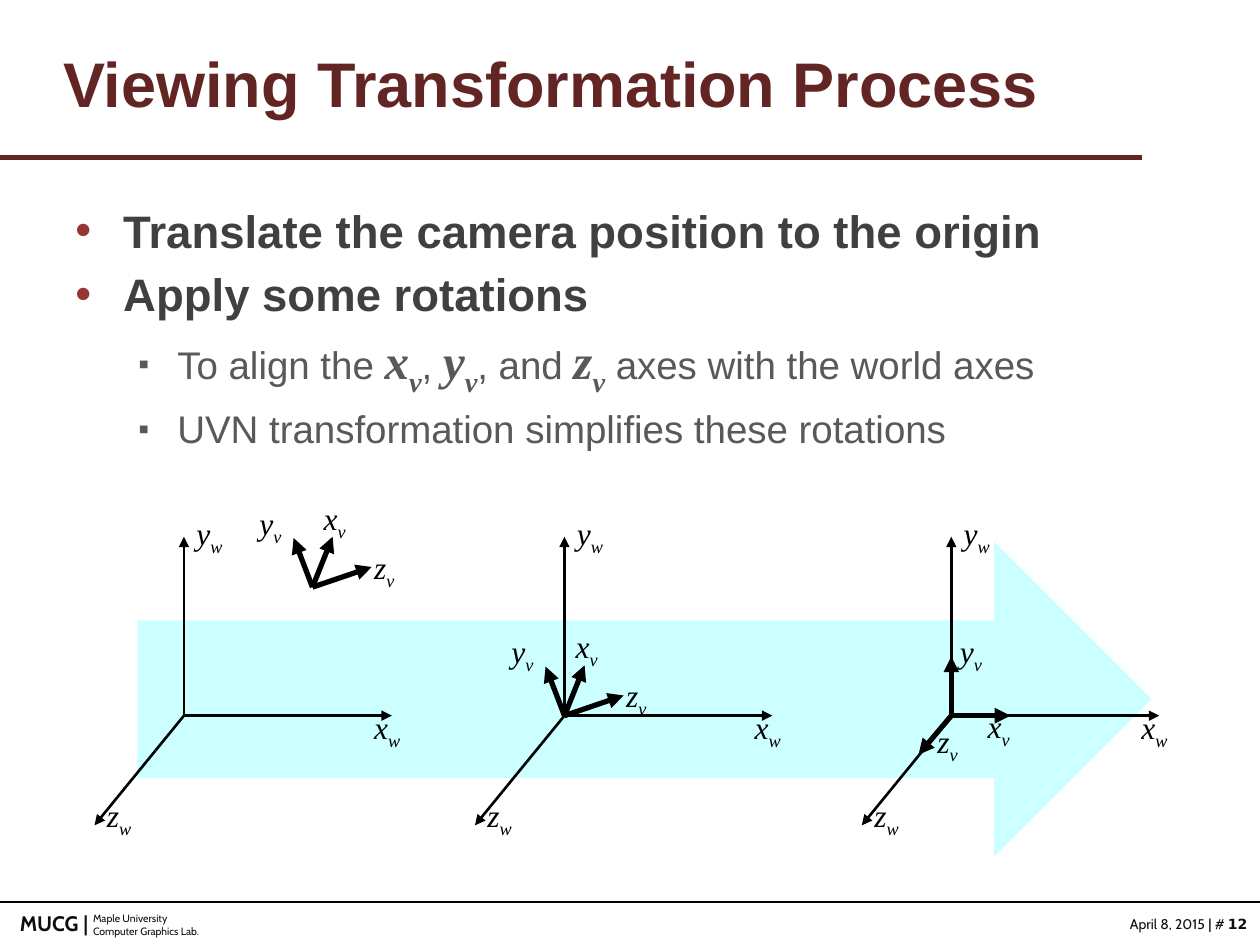
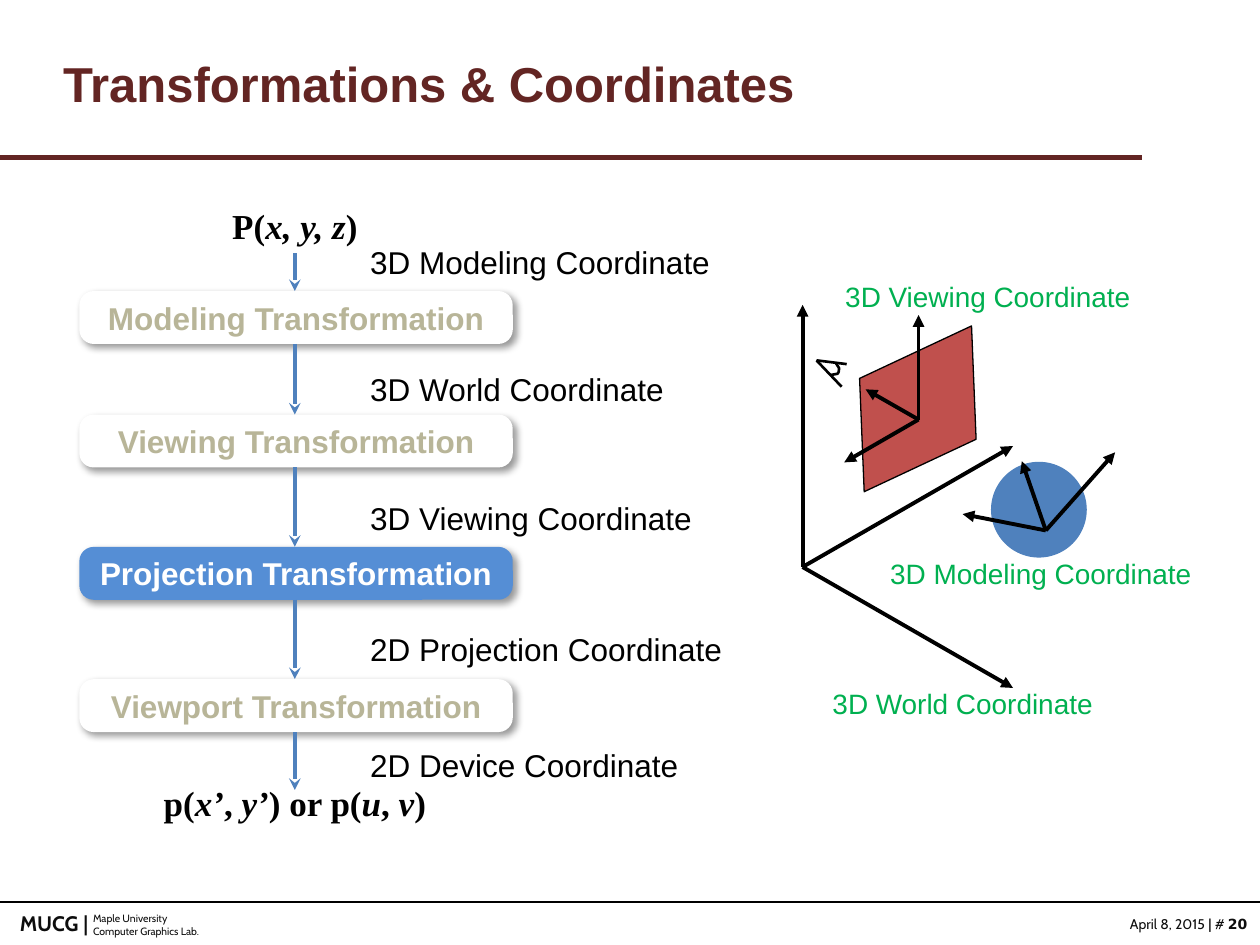
from lxml import etree
from pptx import Presentation
from pptx import util as u
from pptx.dml.color import RGBColor
from pptx.enum import shapes, text
from pptx.oxml import ns

Inches, Pt = u.Inches, u.Pt

MAROON = RGBColor(0x63, 0x25, 0x23)
BULLET_RED = RGBColor(0x95, 0x37, 0x35)
CHARCOAL = RGBColor(0x40, 0x40, 0x40)
GRAY = RGBColor(0x59, 0x59, 0x59)
INK = RGBColor(0x0D, 0x0D, 0x0D)
BLACK = RGBColor(0, 0, 0)
WHITE = RGBColor(0xFF, 0xFF, 0xFF)
CYAN = RGBColor(0, 0xFF, 0xFF)
FADED = RGBColor(0xB8, 0xB5, 0x98)
HIGHLIGHT = RGBColor(0x55, 0x8E, 0xD5)
BLUE = RGBColor(0x4F, 0x81, 0xBD)
RED = RGBColor(0xC0, 0x50, 0x4D)
GREEN = RGBColor(0, 0xB0, 0x50)

SANS, SERIF, FOOTER_FONT, NUMBER_FONT = "Arial", "Times New Roman", "Cabin", "DejaVu Sans"
LEFT, CENTER, RIGHT = text.PP_ALIGN.LEFT, text.PP_ALIGN.CENTER, text.PP_ALIGN.RIGHT


def add_xml(parent, tag, **attributes):
    element = etree.SubElement(parent, ns.qn(tag))
    for name, value in attributes.items():
        element.set(name, str(value))
    return element


def style_run(run, size, color, font=SANS, bold=False, italic=False, subscript=False):
    run.font.size = Pt(size)
    run.font.color.rgb = color
    run.font.name = font
    run.font.bold = bold
    run.font.italic = italic
    if subscript:
        run.font._element.set("baseline", "-25000")


def fill_paragraph(paragraph, pieces, **base):
    for wording, changes in pieces:
        run = paragraph.add_run()
        run.text = wording
        style_run(run, **{**base, **changes})


def add_text(slide, box, paragraphs, align=LEFT, wrap=False, line_spacing=None, **base):
    shape = slide.shapes.add_textbox(*map(Inches, box))
    frame = shape.text_frame
    frame.word_wrap = wrap
    for index, pieces in enumerate(paragraphs):
        paragraph = frame.add_paragraph() if index else frame.paragraphs[0]
        paragraph.alignment = align
        paragraph.line_spacing = line_spacing
        if isinstance(pieces, str):
            pieces = [(pieces, {})]
        fill_paragraph(paragraph, pieces, **base)
    return shape


def add_line(slide, start, end, color=BLACK, width=1.5, head=None):
    line = slide.shapes.add_connector(
        shapes.MSO_CONNECTOR.STRAIGHT, *map(Inches, (*start, *end)))
    line.line.color.rgb = color
    line.line.width = Pt(width)
    if head:
        add_xml(line.line._get_or_add_ln(), "a:tailEnd", type=head)
    add_xml(line._element.spPr, "a:effectLst")


def add_shape(slide, kind, box, fill, line=None, adjustment=None):
    shape = slide.shapes.add_shape(kind, *map(Inches, box))
    shape.shadow.inherit = False
    shape.fill.solid()
    shape.fill.fore_color.rgb = fill
    if line is None:
        shape.line.fill.background()
    else:
        shape.line.color.rgb = line
        shape.line.width = Pt(0.75)
    if adjustment is not None:
        shape.adjustments[0] = adjustment
    return shape


def add_arrows(slide, origin, tips, width):
    for tip in tips:
        add_line(slide, origin, tip, width=width, head="triangle")


def shift(origin, offset):
    return origin[0] + offset[0], origin[1] + offset[1]


def add_axes(slide, origin, subscript, tips, labels, width):
    add_arrows(slide, origin, [shift(origin, tip) for tip in tips], width)
    for axis, offset in zip("xyz", labels):
        pieces = [(axis, {}), (subscript, {"subscript": True})]
        add_text(slide, (*shift(origin, offset), 0.42, 0.43), [pieces],
                 size=18, color=BLACK, font=SERIF, italic=True)


def add_base_slide(presentation, title_text, title_size, number):
    slide = presentation.slides.add_slide(presentation.slide_layouts[5])
    title = slide.shapes.title
    title.left, title.top, title.width, title.height = map(Inches, (0.3, 0.22, 9, 0.87))
    frame = title.text_frame
    frame.text = title_text
    frame.auto_size = text.MSO_AUTO_SIZE.NONE
    frame.vertical_anchor = text.MSO_ANCHOR.MIDDLE
    frame.margin_left = Inches(0.2)
    frame.paragraphs[0].alignment = LEFT
    style_run(frame.paragraphs[0].runs[0], title_size, MAROON, bold=True)

    add_line(slide, (0, 1.25), (9.06, 1.25), MAROON, 3)
    add_line(slide, (0, 7.16), (10, 7.16), BLACK, 1)
    add_text(slide, (0.64, 7.19, 1.4, 0.3), ["Maple University", "Computer Graphics Lab."],
             wrap=True, size=6, color=INK, font=FOOTER_FONT)
    add_text(slide, (-0.04, 7.18, 0.84, 0.3), ["MUCG |"], align=RIGHT,
             size=12, color=INK, font=FOOTER_FONT, bold=True)
    date = [("April 8, 2015 ", {}), ("|", {"bold": True}), (" # ", {}),
            (str(number), {"font": NUMBER_FONT, "bold": True})]
    add_text(slide, (8.5, 7.22, 1.5, 0.24), [date], align=RIGHT,
             size=8, color=INK, font=FOOTER_FONT)
    return slide


def add_bullet(paragraph, level, symbol, color, size_percent, margin, hanging):
    paragraph.level = level
    properties = paragraph._p.get_or_add_pPr()
    properties.set("marL", str(Inches(margin)))
    properties.set("indent", str(-Inches(hanging)))
    add_xml(add_xml(properties, "a:spcBef"), "a:spcPct", val=20000)
    add_xml(add_xml(properties, "a:buClr"), "a:srgbClr", val=color)
    add_xml(properties, "a:buSzPct", val=size_percent * 1000)
    add_xml(properties, "a:buFont", typeface=SANS)
    add_xml(properties, "a:buChar", char=symbol)


def add_bullets(slide):
    symbol = {"size": 28, "font": SERIF, "bold": True, "italic": True}
    align_axes = [("To align the ", {})]
    for axis, following in (("x", ", "), ("y", ", and "), ("z", " axes with the world axes")):
        align_axes += [(axis, symbol), ("v", {**symbol, "subscript": True}), (following, {})]
    points = [
        (0, [("Translate the camera position to the origin", {})]),
        (0, [("Apply some rotations", {})]),
        (1, align_axes),
        (1, [("UVN transformation simplifies these rotations", {})]),
    ]
    shape = add_text(slide, (0.5, 1.56, 9, 5.31), [[] for point in points],
                     wrap=True, size=26, color=CHARCOAL)
    for paragraph, (level, pieces) in zip(shape.text_frame.paragraphs, points):
        if level:
            add_bullet(paragraph, 1, "▪", GRAY, 80, 0.81, 0.31)
            fill_paragraph(paragraph, pieces, size=22, color=GRAY)
        else:
            add_bullet(paragraph, 0, "•", BULLET_RED, 100, 0.38, 0.38)
            fill_paragraph(paragraph, pieces, size=26, color=CHARCOAL, bold=True)


def build_viewing_process(presentation):
    slide = add_base_slide(presentation, "Viewing Transformation Process", 36, 12)
    add_bullets(slide)
    arrow = add_shape(slide, shapes.MSO_SHAPE.RIGHT_ARROW, (1.09, 4.3, 8.05, 2.5), CYAN)
    add_xml(arrow._element.spPr.find(".//" + ns.qn("a:srgbClr")), "a:alpha", val=20000)

    world_tips = [(1.65, 0), (0, -1.42), (-0.71, 0.87)]
    world_labels = [(1.41, -0.11), (0, -1.65), (-0.71, 0.59)]
    camera_tips = [(0.16, -0.4), (-0.15, -0.39), (0.47, -0.16)]
    camera_labels = [(-0.01, -0.75), (-0.52, -0.71), (0.39, -0.36)]
    aligned_tips = [(0.47, 0), (0, -0.47), (-0.26, 0.31)]
    aligned_labels = [(0.19, -0.12), (-0.03, -0.71), (-0.21, 0)]
    stages = [
        ((1.46, 5.68), (2.48, 4.66), camera_tips, camera_labels),
        ((4.48, 5.68), (4.48, 5.68), camera_tips, camera_labels),
        ((7.55, 5.68), (7.55, 5.68), aligned_tips, aligned_labels),
    ]
    for world, camera, tips, labels in stages:
        add_axes(slide, world, "w", world_tips, world_labels, 1.5)
        add_axes(slide, camera, "v", tips, labels, 3)


def add_step(slide, top, label, active):
    shape = add_shape(slide, shapes.MSO_SHAPE.ROUNDED_RECTANGLE, (0.63, top, 3.44, 0.42),
                      HIGHLIGHT if active else WHITE, adjustment=0.27)
    effects = shape._element.spPr.find(ns.qn("a:effectLst"))
    shadow = add_xml(effects, "a:outerShdw", blurRad=Pt(4), dist=Pt(3),
                     dir=45 * 60000, algn="tl", rotWithShape=0)
    add_xml(add_xml(shadow, "a:srgbClr", val=BLACK), "a:alpha", val=40000)
    frame = shape.text_frame
    frame.text = label
    frame.word_wrap = False
    frame.vertical_anchor = text.MSO_ANCHOR.MIDDLE
    frame.paragraphs[0].alignment = CENTER
    style_run(frame.paragraphs[0].runs[0], 18, WHITE if active else FADED, bold=True)


def add_pipeline(slide):
    steps = [(2.31, "Modeling"), (3.29, "Viewing"), (4.34, "Projection"), (5.39, "Viewport")]
    for top, name in steps:
        add_step(slide, top, f"{name} Transformation", name == "Projection")
    tops = [top for top, name in steps]
    for start, end in zip([2.01] + [top + 0.42 for top in tops], tops + [6.27]):
        add_line(slide, (2.34, start), (2.34, end), BLUE, 2.25, "stealth")
    for top, name in ((1.88, "3D Modeling"), (2.89, "3D World"), (3.91, "3D Viewing"),
                      (4.95, "2D Projection"), (5.87, "2D Device")):
        add_text(slide, (2.84, top, 3.34, 0.42), [f"{name} Coordinate"], wrap=True,
                 size=18, color=BLACK)

    italic = {"italic": True}
    formula = {"align": CENTER, "size": 20, "color": BLACK, "font": SERIF, "bold": True}
    source = [("P(", {}), ("x, y, z", italic), (")", {})]
    result = [("p(", {}), ("x’", italic), (", ", {}), ("y’", italic), (") or p(", {}),
              ("u", italic), (", ", {}), ("v", italic), (")", {})]
    add_text(slide, (1.74, 1.64, 1.2, 0.37), [source], line_spacing=0.8, **formula)
    add_text(slide, (1.19, 6.27, 2.3, 0.3), [result], line_spacing=0.6, **formula)


def add_eye(slide):
    for end in ((6.72, 2.89), (6.68, 3.07)):
        add_line(slide, (6.48, 2.86), end)
    curve = [(6.58, 2.97), (6.61, 2.97), (6.64, 2.97), (6.65, 2.96), (6.66, 2.93), (6.64, 2.88)]
    points = [(Inches(x), Inches(y)) for x, y in curve]
    builder = slide.shapes.build_freeform(*points[0])
    builder.add_line_segments(points[1:], close=False)
    pupil = builder.convert_to_shape()
    pupil.shadow.inherit = False
    pupil.fill.background()
    pupil.line.color.rgb = BLACK
    pupil.line.width = Pt(1.5)
    pupil.rotation = 350


def add_scene(slide):
    add_arrows(slide, (6.37, 4.5), [(6.37, 2.42), (8.04, 5.46), (8.04, 3.54)], 2.25)
    add_shape(slide, shapes.MSO_SHAPE.OVAL, (7.87, 3.67, 0.75, 0.75), BLUE, BLUE)
    add_arrows(slide, (8.3, 4.21), [(8.85, 3.59), (7.64, 4.08), (8.11, 3.66)], 2.25)
    view_plane = add_shape(slide, shapes.MSO_SHAPE.PARALLELOGRAM, (6.62, 2.83, 1.33, 0.83),
                           RED, BLACK, 0.42)
    view_plane.rotation = 334.9
    add_arrows(slide, (7.29, 3.33), [(7.29, 2.5), (6.7, 3.67), (6.87, 3.09)], 2.25)
    add_eye(slide)
    for left, top, name in ((6.53, 2.17, "Viewing"), (6.33, 5.4, "World"), (6.95, 4.37, "Modeling")):
        add_text(slide, (left, top, 2.62, 0.37), [f"3D {name} Coordinate"], align=CENTER,
                 wrap=True, size=16, color=GREEN)


def build_coordinates(presentation):
    slide = add_base_slide(presentation, "Transformations & Coordinates", 28, 20)
    add_pipeline(slide)
    add_scene(slide)


def main():
    presentation = Presentation()
    presentation.slide_width = Inches(10)
    presentation.slide_height = Inches(7.5)
    build_viewing_process(presentation)
    build_coordinates(presentation)
    presentation.save("out.pptx")


if __name__ == "__main__":
    main()
